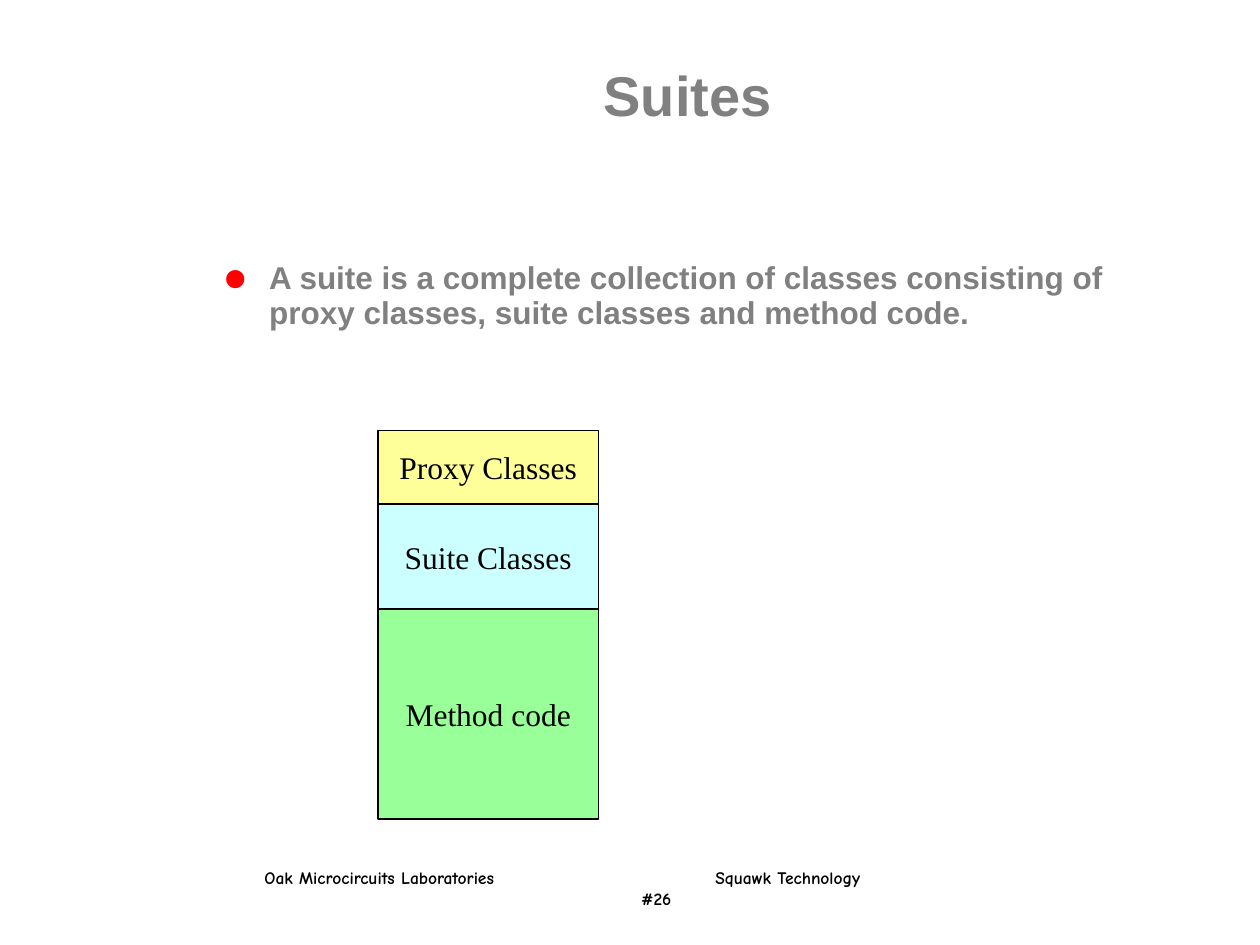
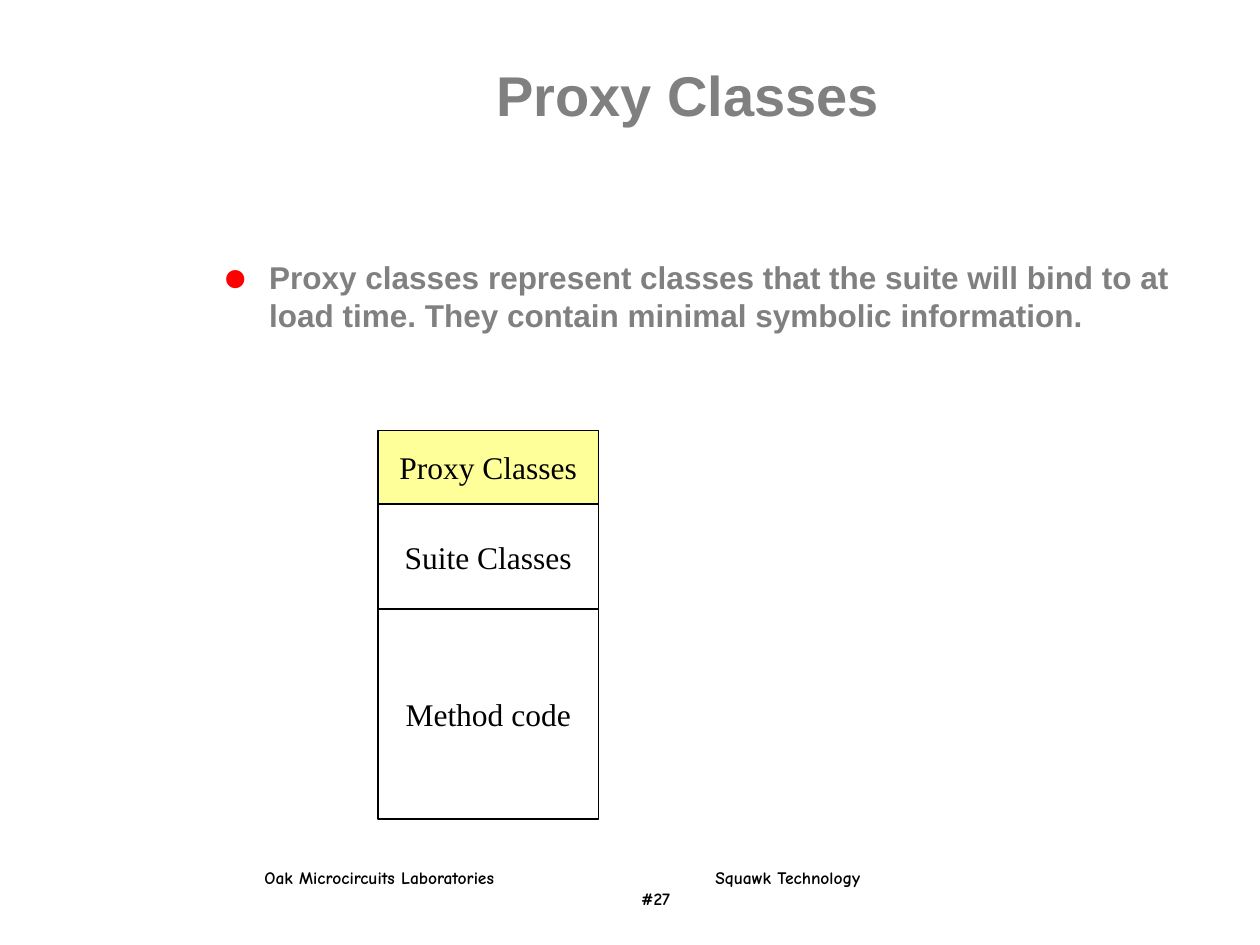
"""Builds two slides on suites: title, bullet, stacked class boxes and a shared footer."""
from dataclasses import dataclass

from lxml import etree
from pptx import Presentation
from pptx.dml.color import RGBColor
from pptx.enum.shapes import MSO_SHAPE
from pptx.enum.text import MSO_ANCHOR, MSO_AUTO_SIZE, PP_ALIGN
from pptx.oxml.ns import qn
from pptx.util import Inches, Pt

RECT = MSO_SHAPE.RECTANGLE
TOP, MIDDLE = MSO_ANCHOR.TOP, MSO_ANCHOR.MIDDLE
LEFT, CENTER = PP_ALIGN.LEFT, PP_ALIGN.CENTER
NO_AUTOFIT = MSO_AUTO_SIZE.NONE


@dataclass(frozen=True)
class Theme:
    gray: str = "808080"
    black: str = "000000"
    white: str = "FFFFFF"
    red: str = "FF0000"
    yellow: str = "FFFF99"
    cyan: str = "CCFFFF"
    green: str = "99FF99"
    heading_font: str = "Arial"
    box_font: str = "Times New Roman"
    footer_font: str = "Comic Neue"
    title_size: int = 32
    spacer_size: int = 20
    text_size: int = 18
    footer_size: int = 10


T = Theme()
CELLS_PER_INCH = 12
BOX_COL, BOX_COLS, FIRST_BOX_ROW = 36, 21, 41
BOXES = [("Proxy Classes", 7), ("Suite Classes", 10), ("Method code", 20)]
FIRST_NUMBER = 26
SLIDES = [
    ("Suites",
     [("A suite is a complete collection of classes consisting of "
       "proxy classes, suite classes and method code.", T.text_size)],
     [T.yellow, T.cyan, T.green]),
    ("Proxy Classes",
     [("Proxy classes represent classes that the suite will bind to at "
       "load time. They contain minimal symbolic information.", T.text_size),
      (" ", T.spacer_size)],
     [T.yellow, T.white, T.white]),
]
FOOTER = [("Oak Microcircuits Laboratories\tSquawk Technology", 3.58), ("\t#{number}", 2.99)]


def cells(*counts):
    """Turns counts of grid cells into lengths."""
    return [Inches(n / CELLS_PER_INCH) for n in counts]


def add_run(p, text, font, size, color, bold=False):
    """Adds one formatted run to a paragraph."""
    r = p.add_run()
    r.text = text
    r.font.name, r.font.size, r.font.bold = font, Pt(size), bold
    r.font.color.rgb = RGBColor.from_string(color)


prs = Presentation()
prs.slide_width, prs.slide_height = Inches(10), Inches(7.5)

for number, (title, bullet, fills) in enumerate(SLIDES, FIRST_NUMBER):
    s = prs.slides.add_slide(prs.slide_layouts[1])

    sp = s.shapes.add_textbox(*cells(24, 82, 75.5, 5.25))
    tf = sp.text_frame
    tf.word_wrap = True
    for i, (text, stop) in enumerate(FOOTER):
        p = tf.add_paragraph() if i else tf.paragraphs[0]
        p.alignment = LEFT
        tabs = etree.SubElement(p._p.get_or_add_pPr(), qn("a:tabLst"))
        etree.SubElement(tabs, qn("a:tab"), pos=str(Inches(stop)), algn="l")
        add_run(p, text.format(number=number), T.footer_font, T.footer_size, T.black, True)

    sp = s.shapes.title
    sp.left, sp.top, sp.width, sp.height = cells(20, 5, 91, 8)
    tf = sp.text_frame
    tf.auto_size, tf.vertical_anchor = NO_AUTOFIT, MIDDLE
    p = tf.paragraphs[0]
    p.alignment = CENTER
    add_run(p, title, T.heading_font, T.title_size, T.gray, True)

    sp = s.placeholders[1]
    sp.left, sp.top, sp.width, sp.height = cells(20, 24.25, 95, 59.75)
    tf = sp.text_frame
    tf.auto_size, tf.vertical_anchor = NO_AUTOFIT, TOP
    p = tf.paragraphs[0]
    p.line_spacing, p.space_before = 0.93, Pt(0)
    pPr = p._p.get_or_add_pPr()
    pPr.set("marL", str(Inches(0.37)))
    pPr.set("indent", str(-Inches(0.37)))
    bullet_color = etree.SubElement(pPr, qn("a:buClr"))
    etree.SubElement(bullet_color, qn("a:srgbClr"), val=T.red)
    etree.SubElement(pPr, qn("a:buSzPct"), val="134000")
    etree.SubElement(pPr, qn("a:buChar"), char="●")
    for text, size in bullet:
        add_run(p, text, T.heading_font, size, T.gray, True)

    row = FIRST_BOX_ROW
    for (label, rows), fill in zip(BOXES, fills):
        sp = s.shapes.add_shape(RECT, *cells(BOX_COL, row, BOX_COLS, rows))
        sp.shadow.inherit = False
        sp.fill.solid()
        sp.fill.fore_color.rgb = RGBColor.from_string(fill)
        sp.line.color.rgb = RGBColor.from_string(T.black)
        sp.line.width = Pt(0.75)
        tf = sp.text_frame
        tf.word_wrap, tf.vertical_anchor = False, MIDDLE
        p = tf.paragraphs[0]
        p.alignment = CENTER
        add_run(p, label, T.box_font, T.text_size, T.black)
        row += rows

prs.save("out.pptx")
